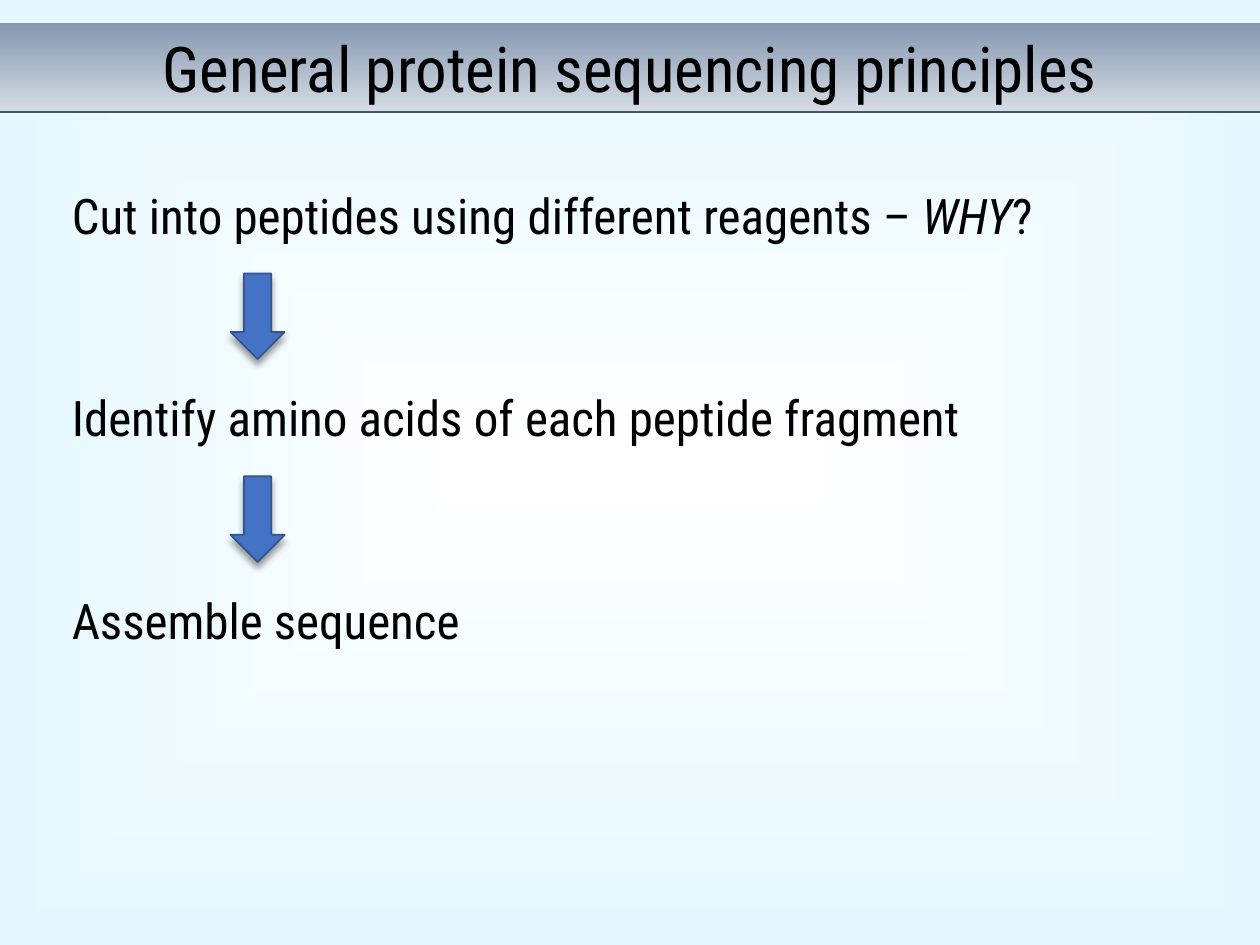
import pptx
import pptx.dml.color
import pptx.enum.shapes
import pptx.enum.text
import pptx.oxml
import pptx.oxml.ns
import pptx.util

Inches = pptx.util.Inches
Pt = pptx.util.Pt
qn = pptx.oxml.ns.qn

COLORS = {
    "text": "000000",
    "band_light": "D6DCE5",
    "band_dark": "8497B0",
    "rule": "44546A",
    "arrow": "4472C4",
    "arrow_line": "325491",
    "shadow": "000000",
    "center": "FFFFFF",
    "edge": "E5F8FF",
}


def rgb(name):
    return pptx.dml.color.RGBColor.from_string(COLORS[name])


def xml(tag_text):
    return pptx.oxml.parse_xml(tag_text.replace(">", f" {pptx.oxml.ns.nsdecls('a')}>", 1))


class SlideBuilder:
    font = "Roboto Condensed"

    def __init__(self, page):
        self.page = page

    def gradient(self, fill, start, end):
        fill.gradient()
        for stop, name in zip(fill.gradient_stops, (start, end)):
            stop.color.rgb = rgb(name)

    def background(self, start, end):
        self.gradient(self.page.background.fill, start, end)
        # Turn the linear gradient into one spreading from the center
        linear = self.page.element.find(".//" + qn("a:lin"))
        linear.getparent().replace(linear, xml(
            '<a:path path="shape"><a:fillToRect l="50000" t="50000" '
            'r="50000" b="50000"/></a:path>'))

    def set_text(self, box, pieces, size, align):
        frame = box.text_frame
        frame.word_wrap = True
        frame.auto_size = pptx.enum.text.MSO_AUTO_SIZE.NONE
        frame.margin_left = frame.margin_right = 0
        frame.margin_top = frame.margin_bottom = Inches(0.05)
        para = frame.paragraphs[0]
        para.alignment = align
        for text, italic in pieces:
            span = para.add_run()
            span.text = text
            span.font.name = self.font
            span.font.size = Pt(size)
            span.font.italic = italic
            span.font.color.rgb = rgb("text")

    def title(self, text, top, width, height):
        box = self.page.shapes.title
        box.left, box.top = 0, Inches(top)
        box.width, box.height = Inches(width), Inches(height)
        self.gradient(box.fill, "band_light", "band_dark")
        box.fill.gradient_angle = 90
        self.set_text(box, [(text, False)], 36, pptx.enum.text.PP_ALIGN.CENTER)

    def rule(self, top, width):
        line = self.page.shapes.add_connector(
            pptx.enum.shapes.MSO_CONNECTOR.STRAIGHT,
            0, Inches(top), Inches(width), Inches(top))
        line.line.color.rgb = rgb("rule")
        line.line.width = Pt(1)
        line.element.spPr.append(xml("<a:effectLst></a:effectLst>"))

    def step(self, pieces, left, top, width, height):
        box = self.page.shapes.add_textbox(
            Inches(left), Inches(top), Inches(width), Inches(height))
        self.set_text(box, pieces, 28, pptx.enum.text.PP_ALIGN.LEFT)

    def down_arrow(self, left, top, width, height):
        arrow = self.page.shapes.add_shape(
            pptx.enum.shapes.MSO_SHAPE.DOWN_ARROW,
            Inches(left), Inches(top), Inches(width), Inches(height))
        arrow.fill.solid()
        arrow.fill.fore_color.rgb = rgb("arrow")
        arrow.line.color.rgb = rgb("arrow_line")
        arrow.line.width = Pt(1)
        # Soft shadow straight below
        arrow.shadow.inherit = False
        effects = arrow.element.spPr.find(qn("a:effectLst"))
        effects.append(xml(
            f'<a:outerShdw blurRad="{Pt(4)}" dist="{Pt(3)}" dir="5400000" rotWithShape="0">'
            f'<a:srgbClr val="{COLORS["shadow"]}"><a:alpha val="40000"/></a:srgbClr>'
            '</a:outerShdw>'))


def main():
    deck = pptx.Presentation()
    deck.slide_width, deck.slide_height = Inches(10), Inches(7.5)
    builder = SlideBuilder(deck.slides.add_slide(deck.slide_layouts[5]))
    builder.background("center", "edge")

    # Title band
    builder.title("General protein sequencing principles", 0.18, 10, 0.71)
    builder.rule(0.89, 10)

    # Steps, with an arrow between each pair
    steps = [
        ([("Cut into peptides using different reagents – ", False),
          ("WHY", True), ("?", False)], 8.52),
        ([("Identify amino acids of each peptide fragment", False)], 8.52),
        ([("Assemble sequence", False)], 3.54),
    ]
    pitch = 1.61
    for index, (pieces, width) in enumerate(steps):
        top = 1.42 + index * pitch
        builder.step(pieces, 0.57, top, width, 0.57)
        if index < len(steps) - 1:
            builder.down_arrow(1.83, top + 0.75, 0.43, 0.68)

    deck.save("out.pptx")


if __name__ == "__main__":
    main()
